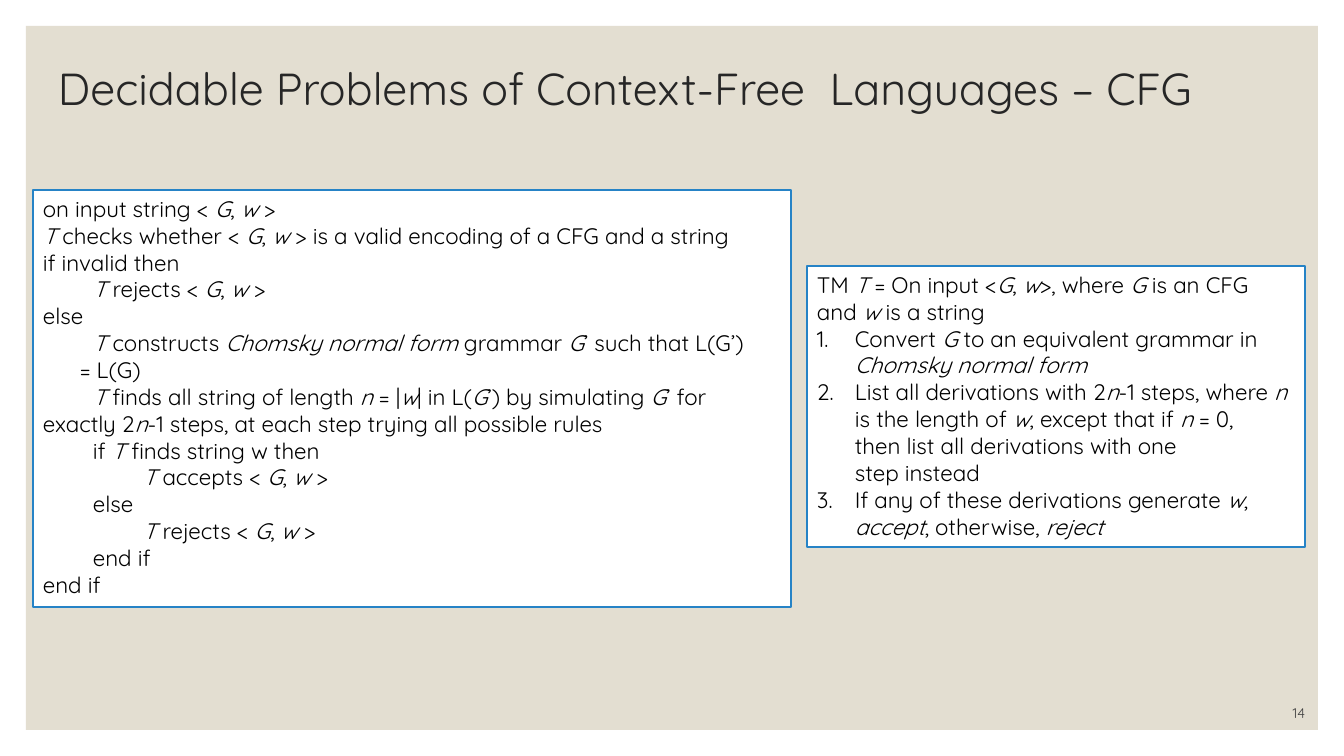
import pptx
import pptx.util
import pptx.dml.color
import pptx.enum.shapes
import pptx.enum.text
import lxml.etree
from dataclasses import dataclass


@dataclass(frozen=True)
class Theme:
    font: str = "Quicksand"
    panel: str = "E3DED1"
    card: str = "FFFFFF"
    border: str = "2683C6"
    title: str = "262626"
    body: str = "000000"
    number: str = "404040"
    title_size: int = 32
    body_size: int = 16
    number_size: int = 10


THEME = Theme()
EMU_PER_PX = 914400 / 100.8
STEP = 50  # one level of code indentation
LIST_INDENT = 38

# Each line: left margin, first-line indent, text; *...* is italic, | a line break
ALGORITHM = [
    (0, 0, "on input string < *G*, *w *>"),
    (0, 0, "*T* checks whether < *G*, *w *> is a valid encoding of a CFG and a string"),
    (0, 0, "if invalid then"),
    (STEP, 0, "*T *rejects < *G*, *w *>"),
    (0, 0, "else"),
    (37, STEP - 37, "*T *constructs *Chomsky normal form *grammar *G*’ such that L(G’)\n= L(G)"),
    (0, STEP, "*T* finds all string of length *n* = |*w*| in L(*G*’) by simulating *G*’ for\n"
              "exactly 2*n*-1 steps, at each step trying all possible rules"),
    (STEP, 0, "if *T *finds string w then"),
    (2 * STEP, 0, "*T *accepts < *G*, *w *>"),
    (STEP, 0, "else"),
    (2 * STEP, 0, "*T *rejects < *G*, *w *>"),
    (STEP, 0, "end if"),
    (0, 0, "end if"),
]
MACHINE_INTRO = "TM *T *= On input <*G*, *w*>, where *G* is an CFG\nand *w* is a string"
MACHINE_STEPS = [
    "Convert *G* to an equivalent grammar in\n*Chomsky normal form*",
    "List all derivations with 2*n*-1 steps, where *n*\nis the length of *w*, except that if *n* = 0,\n"
    "then list all derivations with one\nstep instead",
    "If any of these derivations generate *w*,\n*accept*, otherwise, *reject*",
]


def px(length):
    return pptx.util.Emu(round(length * EMU_PER_PX))


def colour(code):
    return pptx.dml.color.RGBColor.from_string(code)


def style(font, size, code):
    font.name = THEME.font
    font.size = pptx.util.Pt(size)
    font.color.rgb = colour(code)


def add_rectangle(page, box, fill, border=None):
    shape = page.shapes.add_shape(
        pptx.enum.shapes.MSO_SHAPE.RECTANGLE, *map(px, box))
    shape.shadow.inherit = False
    shape.fill.solid()
    shape.fill.fore_color.rgb = colour(fill)
    if border:
        shape.line.color.rgb = colour(border)
        shape.line.width = pptx.util.Pt(1)
    else:
        shape.line.fill.background()
    return shape


def add_label(page, box, text, size, code, anchor, align):
    label = page.shapes.add_textbox(*map(px, box))
    frame = label.text_frame
    frame.word_wrap = True
    frame.vertical_anchor = anchor
    frame.text = text
    para = frame.paragraphs[0]
    para.alignment = align
    style(para.runs[0].font, size, code)
    return para


def write_line(para, text, margin=0, indent=0, numbered=False):
    para.alignment = pptx.enum.text.PP_ALIGN.LEFT
    properties = para._p.get_or_add_pPr()
    properties.set("marL", str(px(margin)))
    properties.set("indent", str(px(indent)))
    if numbered:
        bullet = lxml.etree.SubElement(properties, pptx.oxml.ns.qn("a:buAutoNum"))
        bullet.set("type", "arabicPeriod")
    for position, piece in enumerate(text.split("*")):
        for row, part in enumerate(piece.split("\n")):
            if row:
                para.add_line_break()
            if part:
                span = para.add_run()
                span.text = part
                style(span.font, THEME.body_size, THEME.body)
                span.font.italic = position % 2 == 1


def add_card(page, box, lines):
    card = add_rectangle(page, box, THEME.card, THEME.border)
    frame = card.text_frame
    frame.word_wrap = True
    frame.vertical_anchor = pptx.enum.text.MSO_ANCHOR.TOP
    for position, (margin, indent, text, numbered) in enumerate(lines):
        para = frame.add_paragraph() if position else frame.paragraphs[0]
        write_line(para, text, margin, indent, numbered)


def add_frame(page, box):
    """Background panel with the title at its top and the page number at its foot."""
    left, top, width, height = box
    add_rectangle(page, box, THEME.panel)
    title = add_label(page, (left + 22, top + 24, width - 47, 82),
                      "Decidable Problems of Context-Free  Languages – CFG",
                      THEME.title_size, THEME.title,
                      pptx.enum.text.MSO_ANCHOR.MIDDLE, pptx.enum.text.PP_ALIGN.LEFT)
    title.line_spacing = 0.9
    add_label(page, (left + width - 164, top + height - 34, 161, 30), "14",
              THEME.number_size, THEME.number,
              pptx.enum.text.MSO_ANCHOR.BOTTOM, pptx.enum.text.PP_ALIGN.RIGHT)


def add_algorithm(page, box):
    add_card(page, box, [(*line, False) for line in ALGORITHM])


def add_machine(page, box):
    steps = [(LIST_INDENT, -LIST_INDENT, text, True) for text in MACHINE_STEPS]
    add_card(page, box, [(0, 0, MACHINE_INTRO, False), *steps])


def main():
    deck = pptx.Presentation()
    deck.slide_width, deck.slide_height = px(1344), px(756)
    page = deck.slides.add_slide(deck.slide_layouts[6])
    # Panel, title and page number
    add_frame(page, (26, 26, 1292, 704))
    # Pseudocode on the left, machine description on the right
    add_algorithm(page, (33, 190, 758, 417))
    add_machine(page, (807, 266, 498, 281))
    deck.save("out.pptx")


if __name__ == "__main__":
    main()
